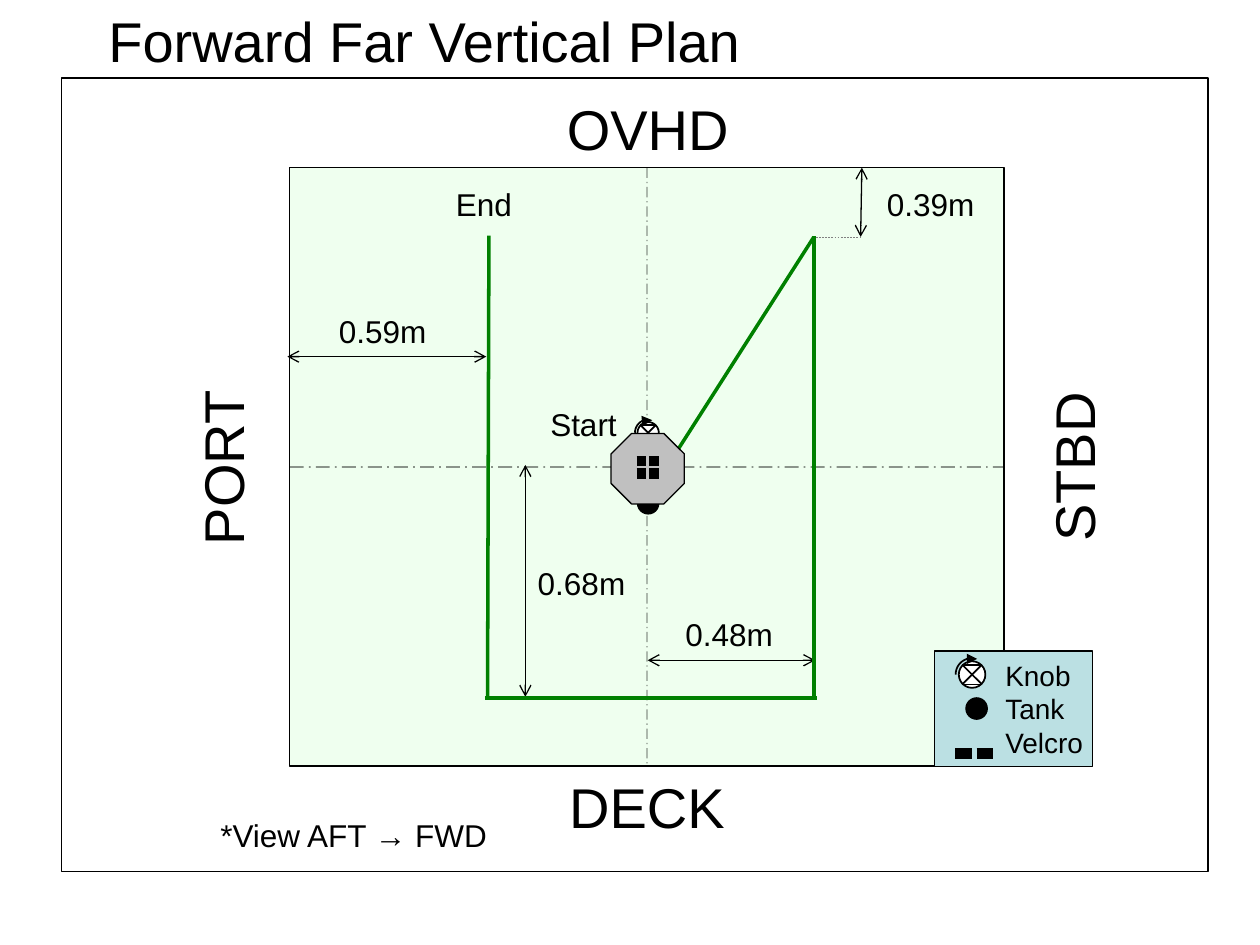
"""Build the Forward Far Vertical Plan slide, with all lengths in points."""
from dataclasses import dataclass
from math import cos, radians, sin
from typing import NamedTuple, Optional

from lxml import etree
from pptx import Presentation
from pptx.dml.color import RGBColor
from pptx.enum.dml import MSO_LINE
from pptx.enum.shapes import MSO_CONNECTOR, MSO_SHAPE
from pptx.enum.text import MSO_ANCHOR, MSO_AUTO_SIZE, PP_ALIGN
from pptx.oxml.ns import qn
from pptx.shapes.autoshape import Shape
from pptx.shapes.connector import Connector
from pptx.shapes.shapetree import SlideShapes
from pptx.text.text import TextFrame
from pptx.util import Pt

STRAIGHT = MSO_CONNECTOR.STRAIGHT
RECT, OVAL, OCTAGON = MSO_SHAPE.RECTANGLE, MSO_SHAPE.OVAL, MSO_SHAPE.OCTAGON
DASH, DASH_DOT = MSO_LINE.DASH, MSO_LINE.LONG_DASH_DOT
LEFT, TOP, MIDDLE = PP_ALIGN.LEFT, MSO_ANCHOR.TOP, MSO_ANCHOR.MIDDLE
FIXED = MSO_AUTO_SIZE.NONE


@dataclass(frozen=True)
class Theme:
    font: str = "Arial"
    ink: RGBColor = RGBColor(0, 0, 0)
    paper: RGBColor = RGBColor(255, 255, 255)
    field: RGBColor = RGBColor(0xCC, 0xFF, 0xCC)
    legend: RGBColor = RGBColor(0xBB, 0xE0, 0xE3)
    hull: RGBColor = RGBColor(0xC0, 0xC0, 0xC0)
    route: RGBColor = RGBColor(0, 0x80, 0)
    guide: RGBColor = RGBColor(0x80, 0x80, 0x80)
    big: float = 32
    note: float = 18
    small: float = 16
    thin: float = 0.75


THEME = Theme()


class Box(NamedTuple):
    left: float
    top: float
    width: float
    height: float


class Label(NamedTuple):
    text: str
    box: Box
    size: float = THEME.note
    turn: float = 0


class Line(NamedTuple):
    x1: float
    y1: float
    x2: float
    y2: float
    width: float = THEME.thin
    color: RGBColor = THEME.ink
    dash: Optional[MSO_LINE] = None
    heads: bool = False


LABELS = [
    Label("OVHD", Box(316.8, 50.4, 106.6, 46), THEME.big),
    Label("DECK", Box(318.2, 437.8, 103, 46), THEME.big),
    Label("PORT", Box(75.6, 244.1, 103, 46), THEME.big, 270),
    Label("STBD", Box(563.8, 244.1, 99.4, 46), THEME.big, 270),
    Label("*View AFT → FWD", Box(118.8, 463, 211, 28.8)),
    Label("Start", Box(307.4, 228.2, 52.6, 28.8)),
    Label("End", Box(253.4, 102.2, 46.8, 28.8)),
    Label("0.68m", Box(300.2, 319, 64.1, 28.8)),
    Label("0.48m", Box(384.5, 347.8, 64.1, 28.8)),
    Label("0.59m", Box(186.5, 175, 64.1, 28.8)),
    Label("0.39m", Box(499.7, 102.2, 64.1, 28.8)),
]
LINES = [
    Line(370.1, 377.3, 465.8, 377.3, heads=True),
    Line(300.2, 398.2, 300.2, 265.7, heads=True),
    Line(491.8, 135.4, 492.5, 95.8, heads=True),
    Line(164.2, 203.8, 277.9, 203.8, heads=True),
    Line(464.4, 135.4, 491.8, 135.4, 0.25, THEME.guide, DASH),
    Line(380.9, 267.1, 465.1, 135.4, 2, THEME.route),
    Line(465.1, 398.9, 465.1, 134.6, 2, THEME.route),
    Line(278.6, 398.9, 279.4, 134.6, 2, THEME.route),
    Line(466.6, 398.9, 277.2, 398.9, 2, THEME.route),
]


def style(frame: TextFrame, size: float) -> None:
    for para in frame.paragraphs:
        para.alignment = LEFT
        for run in para.runs:
            run.font.name, run.font.size = THEME.font, Pt(size)
            run.font.color.rgb = THEME.ink


def fade(shape: Shape | Connector, share: int) -> None:
    color = shape._element.spPr.find(".//" + qn("a:srgbClr"))
    etree.SubElement(color, qn("a:alpha"), val=str(share * 1000))


def add_tip(shape: Shape | Connector, end: str, kind: str) -> None:
    line = shape._element.spPr.find(qn("a:ln"))
    etree.SubElement(line, qn("a:" + end), type=kind)


def draw_label(shapes: SlideShapes, label: Label) -> None:
    shape = shapes.add_textbox(*map(Pt, label.box))
    shape.rotation = label.turn
    frame = shape.text_frame
    frame.text, frame.word_wrap, frame.margin_right = label.text, True, 0
    style(frame, label.size)


def draw_shape(shapes: SlideShapes, kind: MSO_SHAPE, box: Box, fill: RGBColor,
               width: float = THEME.thin) -> Shape:
    shape = shapes.add_shape(kind, *map(Pt, box))
    shape.shadow.inherit = False
    shape.fill.solid()
    shape.fill.fore_color.rgb = fill
    shape.line.color.rgb, shape.line.width = THEME.ink, Pt(width)
    return shape


def draw_line(shapes: SlideShapes, line: Line) -> Connector:
    link = shapes.add_connector(STRAIGHT, *map(Pt, line[:4]))
    link.line.color.rgb, link.line.width = line.color, Pt(line.width)
    if line.dash:
        link.line.dash_style = line.dash
    for end in ("headEnd", "tailEnd") if line.heads else ():
        add_tip(link, end, "arrow")
    etree.SubElement(link._element.spPr, qn("a:effectLst"))
    return link


def draw_knob(shapes: SlideShapes, x: float, y: float, radius: float) -> None:
    draw_shape(shapes, OVAL, Box(x - radius, y - radius, 2 * radius, 2 * radius), THEME.paper, 1)
    half, reach = 0.74 * radius, 1.24 * radius
    for start, end in ((-1, -1), (-1, 1), (1, -1), (1, 1)):
        draw_line(shapes, Line(x - half, y + start * half, x + half, y + end * half, 1))
    turns = [radians(angle) for angle in range(180, 289, 9)]
    spots = [(Pt(x + reach * cos(turn)), Pt(y + reach * sin(turn))) for turn in turns]
    pen = shapes.build_freeform(*spots[0])
    pen.add_line_segments(spots[1:], close=False)
    arc = pen.convert_to_shape()
    arc.shadow.inherit = False
    arc.fill.background()
    arc.line.color.rgb, arc.line.width = THEME.ink, Pt(1)
    add_tip(arc, "tailEnd", "triangle")


def draw_pads(shapes: SlideShapes, x: float, y: float, width: float, step: float) -> None:
    for left in (x, x + step):
        draw_line(shapes, Line(left, y, left + width, y, 6))


def draw_legend(shapes: SlideShapes) -> None:
    shape = draw_shape(shapes, RECT, Box(534.2, 372, 90, 66), THEME.legend)
    frame = shape.text_frame
    frame.text, frame.word_wrap = "Knob\nTank\nVelcro", False
    frame.vertical_anchor, frame.margin_left, frame.margin_right = MIDDLE, Pt(40.3), Pt(4.3)
    style(frame, THEME.small)
    draw_shape(shapes, OVAL, Box(552, 398.8, 12.2, 12.2), THEME.ink)
    draw_pads(shapes, 545.8, 430.6, 9.4, 12.2)
    draw_knob(shapes, 555.5, 385.5, 7.6)


def draw_craft(shapes: SlideShapes) -> None:
    draw_knob(shapes, 370.4, 247.3, 6.1)
    draw_shape(shapes, OVAL, Box(364.3, 281.5, 12.2, 12.2), THEME.ink)
    hull = draw_shape(shapes, OCTAGON, Box(349.2, 247.7, 41.8, 40.3), THEME.hull)
    hull.adjustments[0] = 0.29
    for y in (263.5, 270.7):
        draw_pads(shapes, 363.8, y, 5.6, 7.2)


def draw_field(shapes: SlideShapes) -> None:
    field = draw_shape(shapes, RECT, Box(165.6, 95.8, 408.2, 342), THEME.field)
    fade(field, 30)
    for start, end, width in ((1, 3, 1), (0, 2, THEME.thin)):
        axis = draw_line(shapes, Line(0, 0, 0, 0, width, dash=DASH_DOT))
        axis.begin_connect(field, start)
        axis.end_connect(field, end)
        fade(axis, 41)


def main() -> None:
    deck = Presentation()
    deck.slide_width, deck.slide_height = Pt(720), Pt(540)
    shapes = deck.slides.add_slide(deck.slide_layouts[5]).shapes
    title = shapes.title
    title.left, title.top, title.width, title.height = map(Pt, Box(54.7, 0, 377.3, 46))
    frame = title.text_frame
    frame.text, frame.word_wrap, frame.auto_size = "Forward Far Vertical Plan", False, FIXED
    frame.vertical_anchor = TOP
    style(frame, THEME.big)
    draw_shape(shapes, RECT, Box(35.3, 44.6, 655, 453.4), THEME.paper)
    for draw in (draw_field, draw_legend):
        draw(shapes)
    for line in LINES:
        draw_line(shapes, line)
    draw_craft(shapes)
    for label in LABELS:
        draw_label(shapes, label)
    deck.save("out.pptx")


if __name__ == "__main__":
    main()
